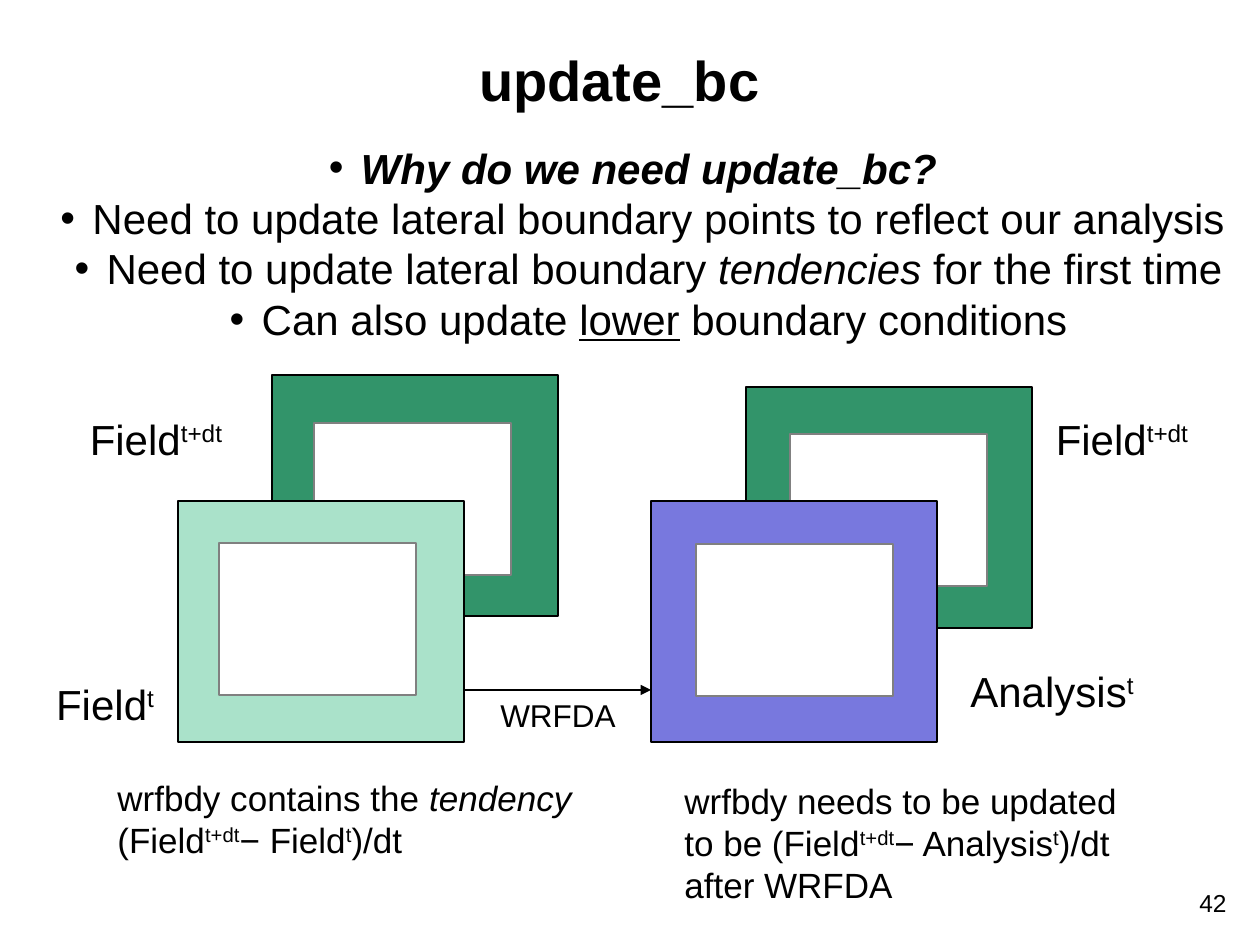
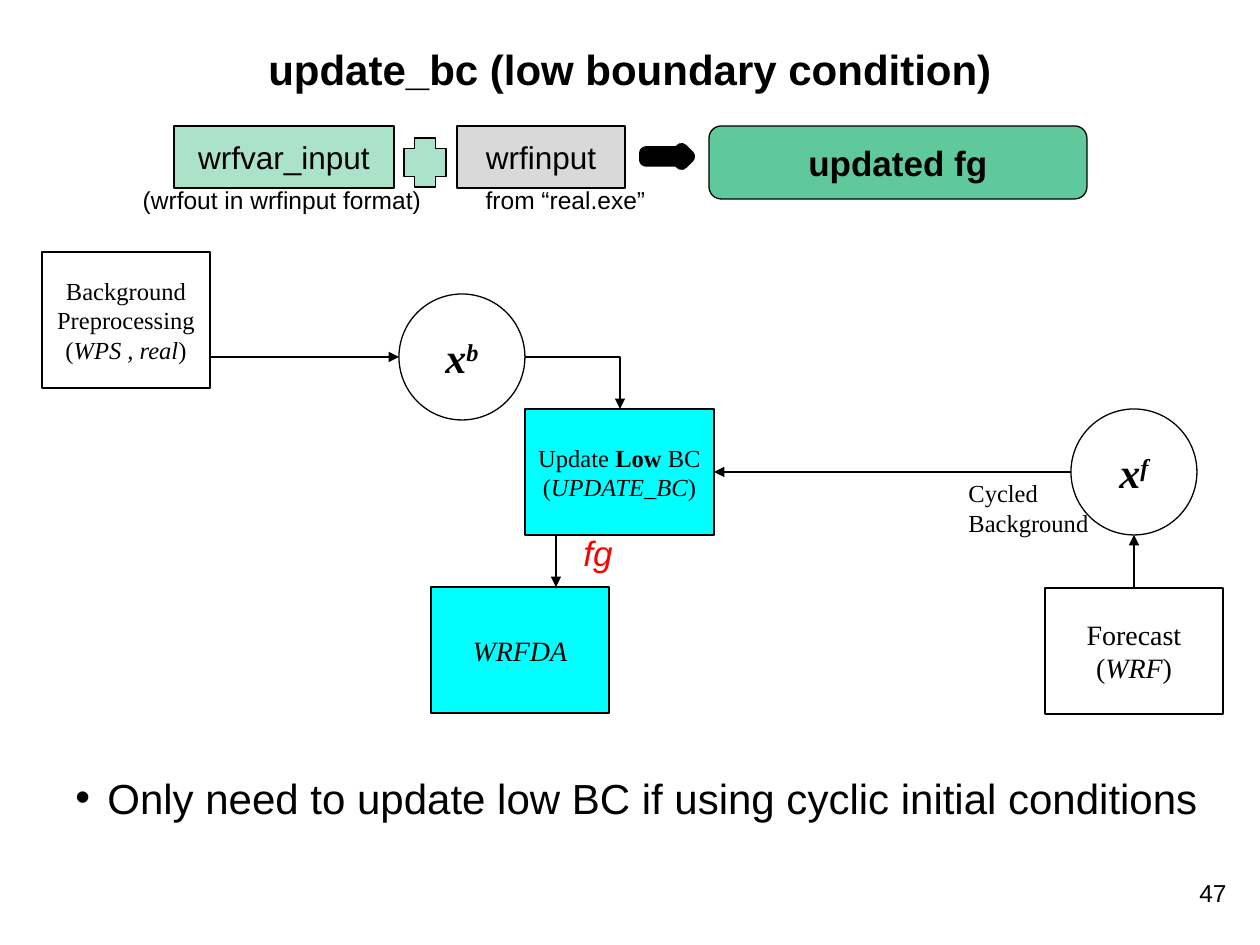
from pptx import Presentation
from pptx.dml.color import RGBColor
from pptx.enum.shapes import MSO_CONNECTOR, MSO_SHAPE
from pptx.enum.text import MSO_ANCHOR, PP_ALIGN
from pptx.oxml.ns import qn
from pptx.util import Emu, Pt
from lxml import etree

LEFT, CENTER, RIGHT = PP_ALIGN.LEFT, PP_ALIGN.CENTER, PP_ALIGN.RIGHT
MIDDLE, TOP = MSO_ANCHOR.MIDDLE, MSO_ANCHOR.TOP
RECTANGLE, PROCESS = MSO_SHAPE.RECTANGLE, MSO_SHAPE.FLOWCHART_PROCESS
ELLIPSE, PLUS = MSO_SHAPE.OVAL, MSO_SHAPE.CROSS
ROUNDED, RIGHT_ARROW = MSO_SHAPE.ROUNDED_RECTANGLE, MSO_SHAPE.RIGHT_ARROW
STRAIGHT, ELBOW = MSO_CONNECTOR.STRAIGHT, MSO_CONNECTOR.ELBOW

PX_PER_INCH = 126
SLIDE_SIZE = (1260, 945)
SANS, SERIF = "Arial", "Times New Roman"
COLORS = {
    "black": "000000",
    "white": "FFFFFF",
    "gray": "808080",
    "silver": "D9D9D9",
    "green": "32946A",
    "mint": "AAE2CA",
    "violet": "7878DE",
    "cyan": "00FFFF",
    "emerald": "60C99C",
    "teal": "00CC99",
    "red": "FF0000",
}
FRAME_SIZE = (286, 241)
OPENING_SIZE = (197, 152)
FIELD_T = [("Field", ""), ("t", "^")]
FIELD_T_DT = [("Field", ""), ("t+dt", "^")]


def px(length):
    return Emu(round(length * 914400 / PX_PER_INCH))


def color(name):
    return RGBColor.from_string(COLORS[name])


def add_bullet(paragraph, margin):
    properties = paragraph._p.get_or_add_pPr()
    properties.set("marL", str(px(margin)))
    properties.set("indent", str(-px(32)))
    etree.SubElement(properties, qn("a:buFont")).set("typeface", SANS)
    etree.SubElement(properties, qn("a:buChar")).set("char", "•")


def format_run(run, style, size, font, ink):
    run.font.name = font
    run.font.size = Pt(size)
    run.font.color.rgb = color(ink)
    run.font.bold = "b" in style
    run.font.italic = "i" in style
    run.font.underline = "u" in style
    if "^" in style:
        run._r.get_or_add_rPr().set("baseline", "30000")


def write(shape, lines, size, font=SANS, ink="black", align=CENTER,
          anchor=MIDDLE, wrap=False, bullets=()):
    frame = shape.text_frame
    frame.word_wrap = wrap
    frame.vertical_anchor = anchor
    for index, pieces in enumerate(lines):
        paragraph = frame.add_paragraph() if index else frame.paragraphs[0]
        if isinstance(pieces, str):
            pieces = [(pieces, "")]
        if bullets:
            add_bullet(paragraph, bullets[index])
        paragraph.alignment = align
        paragraph.text = pieces[0][0]
        for text, _ in pieces[1:]:
            paragraph.add_run().text = text
        styles = [style for _, style in pieces]
        for number, run in enumerate(paragraph.runs):
            style = styles[min(number, len(styles) - 1)]
            format_run(run, style, size, font, ink)


def add_text(slide, box, lines, size, anchor=TOP, **options):
    text_box = slide.shapes.add_textbox(*map(px, box))
    write(text_box, lines, size, anchor=anchor, **options)


def add_box(slide, kind, box, fill=None, line="black", width=0.75):
    shape = slide.shapes.add_shape(kind, *map(px, box))
    shape.shadow.inherit = False
    if fill:
        shape.fill.solid()
        shape.fill.fore_color.rgb = color(fill)
    else:
        shape.fill.background()
    shape.line.color.rgb = color(line)
    shape.line.width = Pt(width)
    return shape


def add_node(slide, kind, box, lines, size, fill=None, font=SERIF):
    shape = add_box(slide, kind, box, fill)
    write(shape, lines, size, font)


def add_arrow(slide, start, end, kind=STRAIGHT):
    connector = slide.shapes.add_connector(kind, *map(px, start + end))
    connector.line.color.rgb = color("black")
    connector.line.width = Pt(0.75)
    properties = connector._element.spPr
    tail = etree.SubElement(properties.find(qn("a:ln")), qn("a:tailEnd"))
    tail.set("type", "triangle")
    etree.SubElement(properties, qn("a:effectLst"))
    if kind == ELBOW:
        properties.find(qn("a:prstGeom")).set("prst", "bentConnector2")


def add_field_frame(slide, corner, opening, fill):
    add_box(slide, RECTANGLE, corner + FRAME_SIZE, fill)
    add_box(slide, RECTANGLE, opening + OPENING_SIZE, "white", "gray")


def add_base(presentation, title, title_box, title_size, number, number_top):
    slide = presentation.slides.add_slide(presentation.slide_layouts[6])
    add_text(slide, title_box, [[(title, "b")]], title_size, anchor=MIDDLE, wrap=True)
    add_text(slide, (977, number_top, 262, 63), [number], 14, align=RIGHT, wrap=True)
    return slide


def build_lateral_slide(presentation):
    slide = add_base(presentation, "update_bc", (84, 0, 1071, 158), 32, "42", 882)
    reasons = [
        [("Why do we need update_bc?", "bi")],
        "Need to update lateral boundary points to reflect our analysis ",
        [("Need to update lateral boundary ", ""), ("tendencies ", "i"),
         ("for the first time", "")],
        [("Can also update ", ""), ("lower", "u"), (" boundary conditions", "")],
    ]
    add_text(slide, (10, 136, 1246, 214), reasons, 24, bullets=(32, 63, 63, 63))

    add_field_frame(slide, (272, 375), (314, 423), "green")
    add_field_frame(slide, (178, 501), (219, 543), "mint")
    add_field_frame(slide, (746, 387), (790, 434), "green")
    add_field_frame(slide, (651, 501), (696, 544), "violet")

    labels = [
        ((34, 672, 142, 63), FIELD_T),
        ((67, 407, 178, 63), FIELD_T_DT),
        ((948, 659, 208, 63), [("Analysis", ""), ("t", "^")]),
        ((1033, 407, 178, 63), FIELD_T_DT),
    ]
    for box, label in labels:
        add_text(slide, box, [label], 24)

    tendency = [("wrfbdy contains the ", ""), ("tendency", "i"), (" (Field", ""),
                ("t+dt", "^"), ("− Field", ""), ("t", "^"), (")/dt", "")]
    update = [("wrfbdy needs to be updated to be (Field", ""), ("t+dt", "^"),
              ("− Analysis", ""), ("t", "^"), (")/dt after WRFDA", "")]
    add_text(slide, (105, 770, 557, 97), [tendency], 20, align=LEFT, wrap=True)
    add_text(slide, (672, 773, 494, 139), [update], 20, align=LEFT, wrap=True)

    add_arrow(slide, (463, 690), (651, 690))
    add_text(slide, (478, 690, 160, 50), ["WRFDA"], 18)


def add_input_row(slide):
    add_node(slide, RECTANGLE, (174, 126, 220, 62), ["wrfvar_input"], 18, "mint", SANS)
    add_box(slide, PLUS, (404, 138, 42, 49), "mint")
    add_node(slide, RECTANGLE, (457, 126, 168, 62), ["wrfinput"], 18, "silver", SANS)
    add_box(slide, RIGHT_ARROW, (646, 150, 42, 13), "teal", width=8)
    add_node(slide, ROUNDED, (709, 126, 378, 73), [[("updated fg", "b")]], 20,
             "emerald", SANS)
    add_text(slide, (120, 179, 324, 43), ["(wrfout in wrfinput format)"], 14)
    add_text(slide, (463, 179, 205, 43), ["from “real.exe”"], 14)


def build_low_slide(presentation):
    slide = add_base(presentation, "update_bc (low boundary condition)",
                     (184, 32, 892, 73), 24, "47", 872)
    add_input_row(slide)

    add_node(slide, PROCESS, (42, 252, 168, 136),
             ["Background", "Preprocessing",
              [("(", ""), ("WPS , real", "i"), (")", "")]], 14)
    add_node(slide, PROCESS, (1045, 588, 178, 126),
             ["Forecast", [("(", ""), ("WRF", "i"), (")", "")]], 16)
    add_node(slide, ELLIPSE, (399, 294, 126, 126), [[("x", "bi"), ("b", "bi^")]], 24)
    add_text(slide, (956, 472, 221, 72), ["Cycled\vBackground"], 14, font=SERIF,
             align=LEFT, wrap=True)
    add_node(slide, ELLIPSE, (1071, 409, 126, 126), [[("x", "bi"), ("f", "bi^")]],
             24, "white")
    add_node(slide, PROCESS, (431, 587, 178, 126), [[("WRFDA", "i")]], 16, "cyan")
    add_node(slide, PROCESS, (525, 409, 189, 126),
             [[("Update ", ""), ("Low", "b"), (" BC", "")],
              [("(", ""), ("UPDATE_BC", "i"), (")", "")]], 14, "cyan")

    add_arrow(slide, (210, 357), (399, 357))
    add_arrow(slide, (525, 357), (620, 409), ELBOW)
    add_arrow(slide, (1071, 472), (714, 472))
    add_arrow(slide, (556, 535), (556, 587))
    add_arrow(slide, (1134, 588), (1134, 535))

    add_text(slide, (561, 525, 74, 55), [[("fg", "i")]], 20, ink="red")
    add_text(slide, (63, 766, 1150, 63),
             ["Only need to update low BC if using cyclic initial conditions"],
             24, align=LEFT, wrap=True, bullets=(32,))


def main():
    presentation = Presentation()
    presentation.slide_width, presentation.slide_height = map(px, SLIDE_SIZE)
    build_lateral_slide(presentation)
    build_low_slide(presentation)
    presentation.save("out.pptx")


if __name__ == "__main__":
    main()
